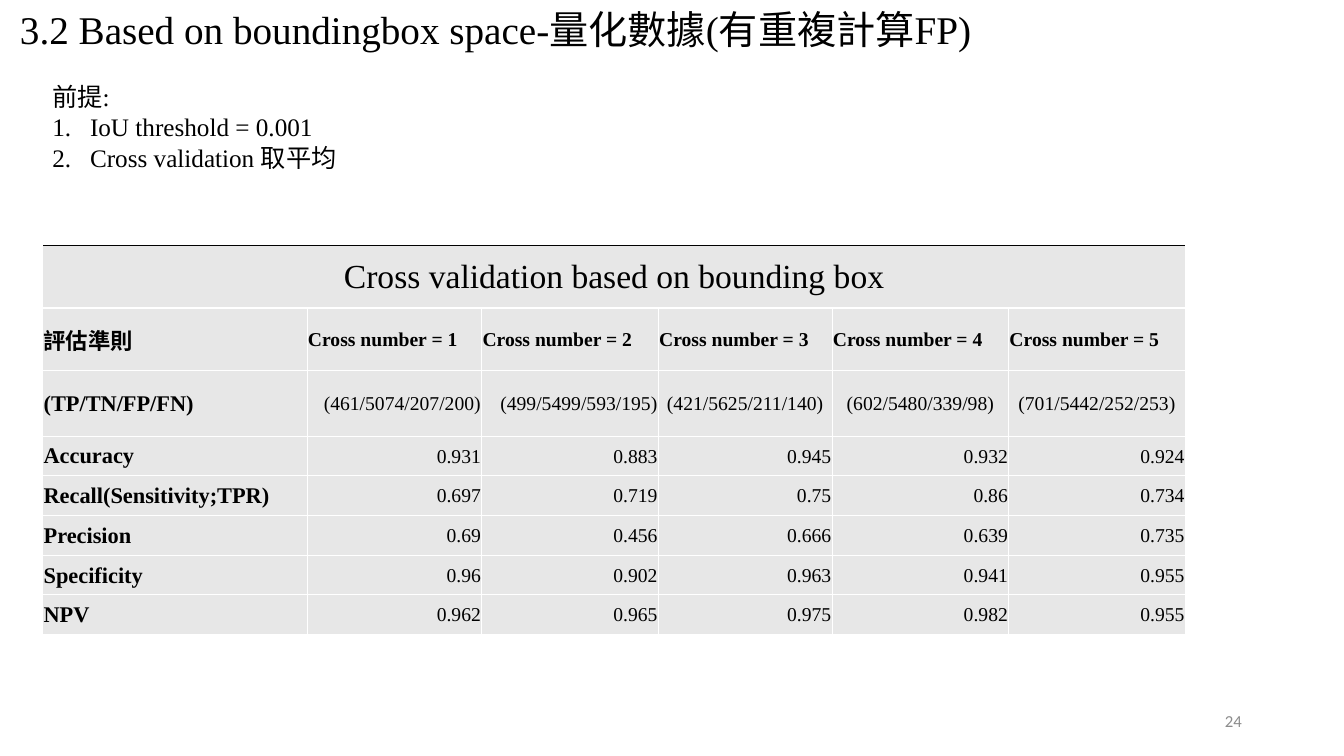
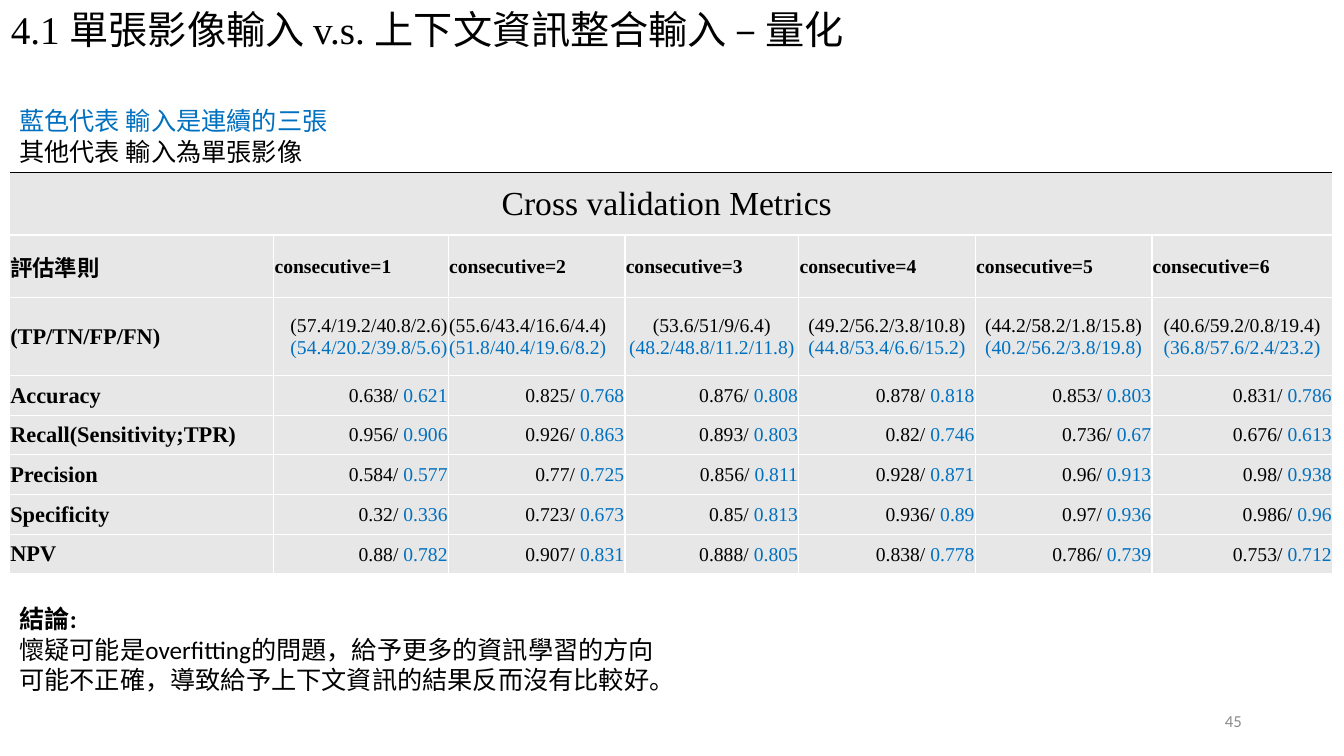
import pptx
import pptx.util
import pptx.dml.color
import pptx.enum.text
import pptx.oxml
import pptx.oxml.ns

Cm, Pt = pptx.util.Cm, pptx.util.Pt
ALIGN = {
    "l": pptx.enum.text.PP_ALIGN.LEFT,
    "c": pptx.enum.text.PP_ALIGN.CENTER,
    "r": pptx.enum.text.PP_ALIGN.RIGHT,
}
ANCHOR = pptx.enum.text.MSO_ANCHOR
BLACK, WHITE, BLUE, GREY, CELL = "000000", "FFFFFF", "0070C0", "8C8C8C", "E7E7E7"
SERIF, SANS = "Times New Roman", "Calibri"

# Content shared by both tables; column widths and row heights in cm
ROW_LABELS = ["評估準則", "(TP/TN/FP/FN)", "Accuracy", "Recall(Sensitivity;TPR)",
              "Precision", "Specificity", "NPV"]
COLUMN_WIDTHS = [6.66, 4.4, 4.45, 4.38, 4.45, 4.45, 4.55]
HEADER_HEIGHT, METRIC_HEIGHT = 1.58, 1

# Slide 1 content; each cell is a list of lines
BOX_TABLE = {
    "title": "Cross validation based on bounding box",
    "heads": [f"Cross number = {n}" for n in range(1, 6)],
    "tallies": [["(461/5074/207/200)"], ["(499/5499/593/195)"], ["(421/5625/211/140)"],
                ["(602/5480/339/98)"], ["(701/5442/252/253)"]],
    "tally_align": "rrccc",
    "tally_height": 1.65,
    "metrics": [
        ["0.931", "0.883", "0.945", "0.932", "0.924"],
        ["0.697", "0.719", "0.75", "0.86", "0.734"],
        ["0.69", "0.456", "0.666", "0.639", "0.735"],
        ["0.96", "0.902", "0.963", "0.941", "0.955"],
        ["0.962", "0.965", "0.975", "0.982", "0.955"],
    ],
}

# Slide 2 content; the second value of each pair is blue
CONSECUTIVE_TABLE = {
    "title": "Cross validation Metrics ",
    "heads": [f"consecutive={n}" for n in range(1, 7)],
    "tallies": [
        ["(57.4/19.2/40.8/2.6)", "(54.4/20.2/39.8/5.6)"],
        ["(55.6/43.4/16.6/4.4)", "(51.8/40.4/19.6/8.2)"],
        ["(53.6/51/9/6.4)", "(48.2/48.8/11.2/11.8)"],
        ["(49.2/56.2/3.8/10.8)", "(44.8/53.4/6.6/15.2)"],
        ["(44.2/58.2/1.8/15.8)", "(40.2/56.2/3.8/19.8)"],
        ["(40.6/59.2/0.8/19.4)", "(36.8/57.6/2.4/23.2)"],
    ],
    "tally_align": "rlcccc",
    "tally_height": 1.96,
    "metrics": [
        ["0.638/ 0.621", "0.825/ 0.768", "0.876/ 0.808", "0.878/ 0.818", "0.853/ 0.803", "0.831/ 0.786"],
        ["0.956/ 0.906", "0.926/ 0.863", "0.893/ 0.803", "0.82/ 0.746", "0.736/ 0.67", "0.676/ 0.613"],
        ["0.584/ 0.577", "0.77/ 0.725", "0.856/ 0.811", "0.928/ 0.871", "0.96/ 0.913", "0.98/ 0.938"],
        ["0.32/ 0.336", "0.723/ 0.673", "0.85/ 0.813", "0.936/ 0.89", "0.97/ 0.936", "0.986/ 0.96"],
        ["0.88/ 0.782", "0.907/ 0.831", "0.888/ 0.805", "0.838/ 0.778", "0.786/ 0.739", "0.753/ 0.712"],
    ],
}


def rgb(color):
    return pptx.dml.color.RGBColor.from_string(color)


def add_run(p, text, size, font=SERIF, color=BLACK, bold=False):
    r = p.add_run()
    r.text = text
    r.font.size, r.font.name, r.font.bold = Pt(size), font, bold
    r.font.color.rgb = rgb(color)


def next_paragraph(tf, index, align="l"):
    p = tf.paragraphs[0] if index == 0 else tf.add_paragraph()
    p.alignment = ALIGN[align]
    return p


def number_paragraph(p, indent=0.95):
    pPr = p._p.get_or_add_pPr()
    pPr.set("marL", str(Cm(indent)))
    pPr.set("indent", str(-Cm(indent)))
    pPr.append(pptx.oxml.parse_xml(
        f'<a:buAutoNum {pptx.oxml.ns.nsdecls("a")} type="arabicPeriod"/>'))


def add_text(s, left, top, width, height, lines, font=SERIF, size=18, align="l"):
    """Each line is (text, options); options: color, bold, numbered."""
    tf = s.shapes.add_textbox(Cm(left), Cm(top), Cm(width), Cm(height)).text_frame
    tf.word_wrap = True
    for i, (text, options) in enumerate(lines):
        p = next_paragraph(tf, i, align)
        if options.get("numbered"):
            number_paragraph(p)
        add_run(p, text, size, font, options.get("color", BLACK), options.get("bold", False))
    return tf


def new_slide(prs, title, left, number):
    s = prs.slides.add_slide(prs.slide_layouts[5])
    sp = s.shapes.title
    sp.left, sp.top, sp.width, sp.height = Cm(left), Cm(0), Cm(31), Cm(1.45)
    tf = sp.text_frame
    tf.auto_size = pptx.enum.text.MSO_AUTO_SIZE.NONE
    tf.vertical_anchor = ANCHOR.TOP
    add_run(next_paragraph(tf, 0), title, 28)
    # Slide number
    tf = add_text(s, 23.93, 17.65, 7.62, 1.02, [(number, {"color": GREY})], SANS, 12, "r")
    tf.vertical_anchor = ANCHOR.MIDDLE
    return s


def style_cell(cell, top_color=WHITE):
    cell.margin_left = cell.margin_right = cell.margin_top = Cm(0.02)
    cell.margin_bottom = 0
    cell.vertical_anchor = ANCHOR.MIDDLE
    tcPr = cell._tc.get_or_add_tcPr()
    for side in "LRTB":
        color = top_color if side == "T" else WHITE
        tcPr.append(pptx.oxml.parse_xml(
            f'<a:ln{side} {pptx.oxml.ns.nsdecls("a")} w="{Pt(1)}"><a:solidFill>'
            f'<a:srgbClr val="{color}"/></a:solidFill></a:ln{side}>'))
    cell.fill.solid()
    cell.fill.fore_color.rgb = rgb(CELL)


def add_metrics_table(s, left, top, data):
    widths = COLUMN_WIDTHS[:len(data["heads"]) + 1]
    heights = [HEADER_HEIGHT] * 2 + [data["tally_height"]] + [METRIC_HEIGHT] * len(data["metrics"])
    table = s.shapes.add_table(len(heights), len(widths), Cm(left), Cm(top),
                               Cm(sum(widths)), Cm(sum(heights))).table
    table.first_row = table.horz_banding = False
    for column, width in zip(table.columns, widths):
        column.width = Cm(width)
    for i, (row, height) in enumerate(zip(table.rows, heights)):
        row.height = Cm(height)
        for cell in row.cells:
            style_cell(cell, WHITE if i else BLACK)

    def paragraph(row, col, align="l", line=0):
        return next_paragraph(table.cell(row, col).text_frame, line, align)

    # Title row and headings
    table.cell(0, 0).merge(table.cell(0, len(widths) - 1))
    add_run(paragraph(0, 0, "c"), data["title"], 24)
    for row, label in enumerate(ROW_LABELS, 1):
        add_run(paragraph(row, 0), label, 16, bold=True)
    for col, head in enumerate(data["heads"], 1):
        add_run(paragraph(1, col), head, 14, bold=True)
    # Tallies: one paragraph for each input type
    for col, (tallies, align) in enumerate(zip(data["tallies"], data["tally_align"]), 1):
        for line, (tally, color) in enumerate(zip(tallies, (BLACK, BLUE))):
            add_run(paragraph(2, col, align, line), tally, 14, color=color)
    # Metrics: one run for each input type
    for row, values in enumerate(data["metrics"], 3):
        for col, value in enumerate(values, 1):
            p = paragraph(row, col, "r")
            single, slash, triple = value.partition("/ ")
            add_run(p, single + slash, 14)
            if triple:
                add_run(p, triple, 14, color=BLUE)


def main():
    prs = pptx.Presentation()
    prs.slide_width, prs.slide_height = Cm(33.87), Cm(19.05)

    # Slide 1: bounding box metrics
    s = new_slide(prs, "3.2 Based on boundingbox space-量化數據(有重複計算FP)", 0.25, "24")
    add_text(s, 1.07, 1.93, 29.34, 2.57, [
        ("前提:", {}),
        ("IoU threshold = 0.001", {"numbered": True}),
        ("Cross validation 取平均", {"numbered": True}),
    ])
    add_metrics_table(s, 1.08, 6.18, BOX_TABLE)

    # Slide 2: single image against three consecutive images
    s = new_slide(prs, "4.1 單張影像輸入 v.s. 上下文資訊整合輸入 – 量化", 0.02, "45")
    add_metrics_table(s, 0.24, 4.34, CONSECUTIVE_TABLE)
    add_text(s, 0.24, 2.54, 8.89, 1.8, [
        ("藍色代表 輸入是連續的三張", {"color": BLUE}),
        ("其他代表 輸入為單張影像", {}),
    ], SANS)
    add_text(s, 0.24, 15.09, 17.09, 2.57, [
        ("結論:", {"bold": True}),
        ("懷疑可能是overfitting的問題，給予更多的資訊學習的方向可能不正確，"
         "導致給予上下文資訊的結果反而沒有比較好。", {}),
    ], SANS)

    prs.save("out.pptx")


if __name__ == "__main__":
    main()
